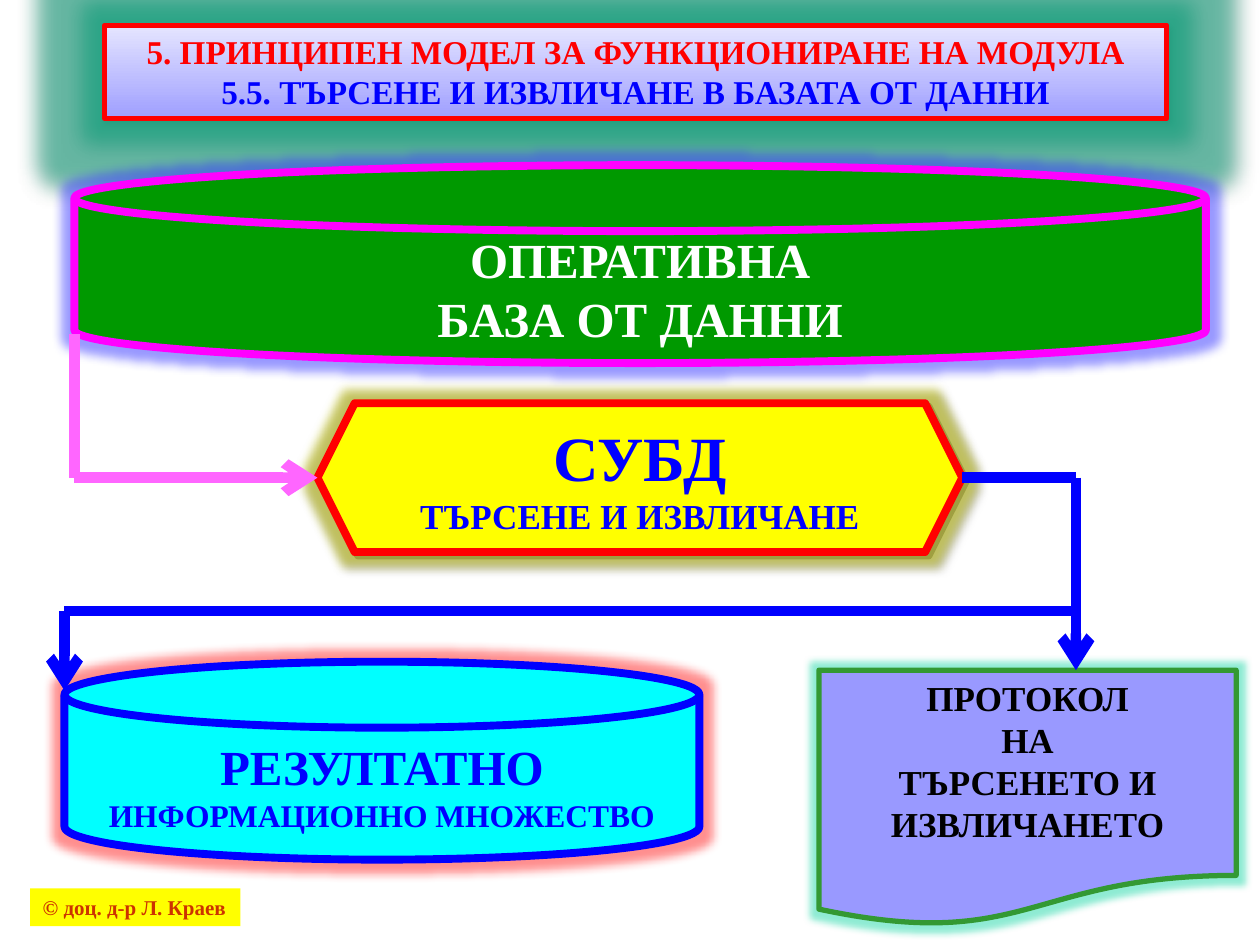
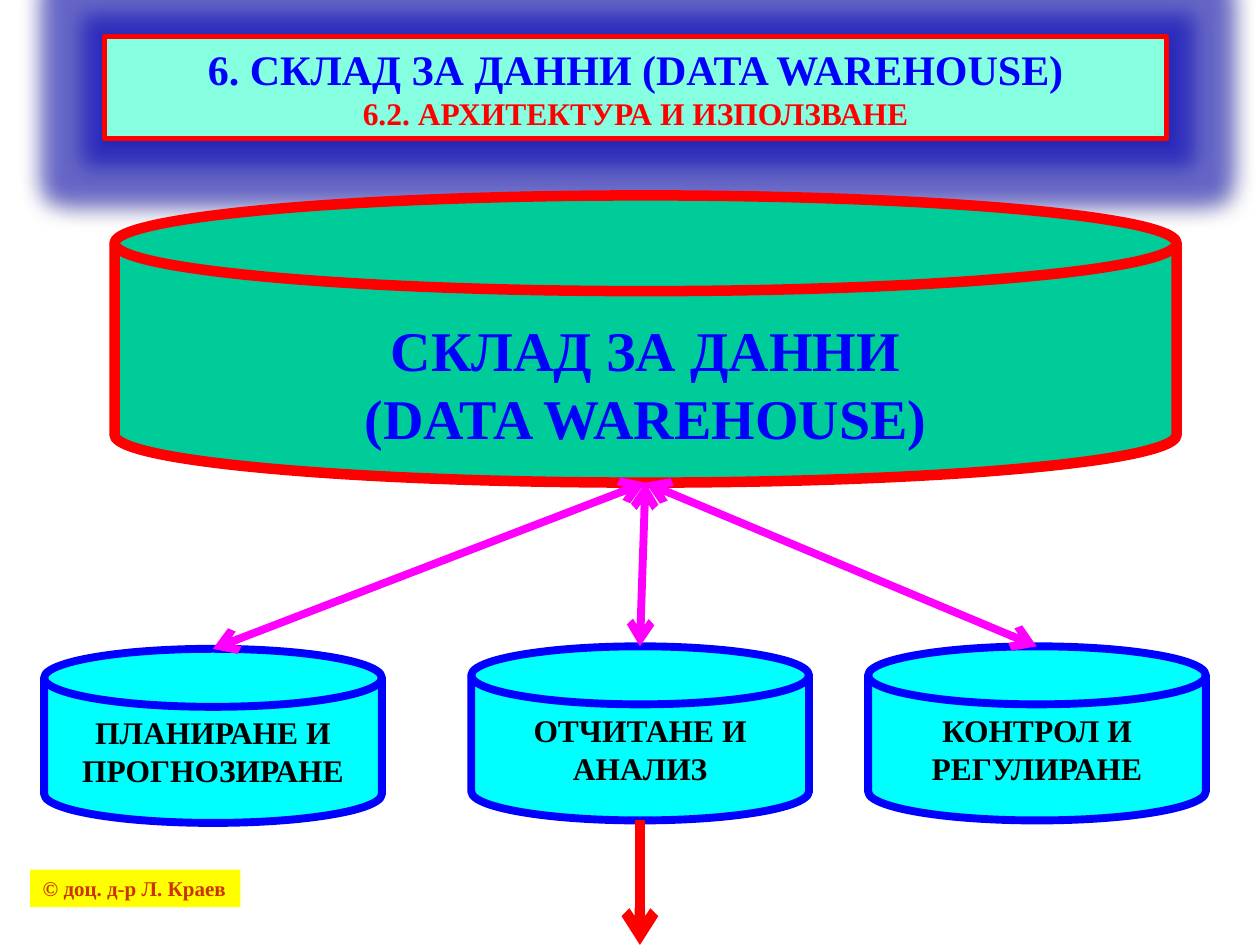
"""Build two slides on searching a database and on the data warehouse."""
from lxml import etree
from pptx import Presentation
from pptx.dml.color import RGBColor
from pptx.enum import shapes, text
from pptx.oxml import ns
from pptx.util import Cm, Pt

FONT = "Times New Roman"
RED, BLUE, MAGENTA, PINK = "FF0000", "0000FF", "FF00FF", "FF66FF"
YELLOW, CYAN, BLACK, WHITE = "FFFF00", "00FFFF", "000000", "FFFFFF"
RECT, DISK, HEXAGON, DOCUMENT = (
    shapes.MSO_SHAPE.RECTANGLE, shapes.MSO_SHAPE.FLOWCHART_MAGNETIC_DISK,
    shapes.MSO_SHAPE.HEXAGON, shapes.MSO_SHAPE.FLOWCHART_DOCUMENT)
TOP, MIDDLE = text.MSO_ANCHOR.TOP, text.MSO_ANCHOR.MIDDLE
TITLE_SHADOW = (BLACK, 38, 3.1, 1.6, 90)
rgb = RGBColor.from_string


def add_box(s, kind, at, fill, line, lines, anchor=TOP, top=0.13, glow=None, shadow=None):
    sp = s.shapes.add_shape(kind, *(Cm(v) for v in at))
    sp.shadow.inherit = False
    sp.fill.solid()
    sp.fill.fore_color.rgb = rgb(fill)
    if line:
        sp.line.color.rgb = rgb(line[0])
        sp.line.width = Pt(line[1])
    else:
        sp.line.fill.background()
    effects = sp._element.spPr.find(ns.qn("a:effectLst"))
    parts = []
    if glow:
        parts.append(("a:glow", glow[0], 50, {"rad": Pt(glow[1])}))
    if shadow:
        color, alpha, blur, dist, angle = shadow
        parts.append(("a:outerShdw", color, alpha, {
            "blurRad": Pt(blur), "dist": Pt(dist), "dir": angle * 60000, "rotWithShape": 0}))
    for tag, color, alpha, attrs in parts:
        effect = etree.SubElement(effects, ns.qn(tag), {k: str(int(v)) for k, v in attrs.items()})
        clr = etree.SubElement(effect, ns.qn("a:srgbClr"), val=color)
        etree.SubElement(clr, ns.qn("a:alpha"), val=str(alpha * 1000))
    tf = sp.text_frame
    tf.word_wrap = True
    tf.vertical_anchor = anchor
    tf.margin_top = Cm(top)
    for i, (words, size, color) in enumerate(lines):
        p = tf.add_paragraph() if i else tf.paragraphs[0]
        p.text = words
        p.alignment = text.PP_ALIGN.CENTER
        p.font.name, p.font.size, p.font.bold = FONT, Pt(size), True
        p.font.color.rgb = rgb(color)
    return sp


def add_line(s, x1, y1, x2, y2, color, width, ends=()):
    c = s.shapes.add_connector(shapes.MSO_CONNECTOR.STRAIGHT, Cm(x1), Cm(y1), Cm(x2), Cm(y2))
    c.line.color.rgb = rgb(color)
    c.line.width = Pt(width)
    for end in ends:
        etree.SubElement(c.line._get_or_add_ln(), ns.qn(end), type="arrow")
    etree.SubElement(c._element.spPr, ns.qn("a:effectLst"))


HEAD, TAIL = "a:headEnd", "a:tailEnd"
prs = Presentation()
prs.slide_width, prs.slide_height = Cm(25.4), Cm(19.05)
search, warehouse = (prs.slides.add_slide(prs.slide_layouts[6]) for _ in range(2))

title = add_box(search, RECT, (2.11, 0.51, 21.41, 1.88), "BBBBFF", (RED, 3),
                [("5. ПРИНЦИПЕН МОДЕЛ ЗА ФУНКЦИОНИРАНЕ НА МОДУЛА", 19, RED),
                 ("5.5. ТЪРСЕНЕ И ИЗВЛИЧАНЕ В БАЗАТА ОТ ДАННИ", 19, BLUE)],
                glow=("00A078", 25), shadow=TITLE_SHADOW)
title.fill.gradient()
title.fill.gradient_angle = 90
for stop, color in zip(title.fill.gradient_stops, ("9F9FFF", "E5E5FF")):
    stop.color.rgb = rgb(color)

add_box(search, DISK, (1.5, 3.33, 22.81, 3.99), "009900", (MAGENTA, 4.5),
        [("ОПЕРАТИВНА", 28, WHITE), ("БАЗА ОТ ДАННИ", 28, WHITE)],
        MIDDLE, 0.45, glow=("3333FF", 11))
add_box(search, HEXAGON, (6.4, 8.13, 13, 3), YELLOW, (RED, 4.5),
        [("СУБД", 36, BLUE), ("ТЪРСЕНЕ И ИЗВЛИЧАНЕ", 20, BLUE)],
        MIDDLE, glow=("C0C000", 11), shadow=("808080", 100, 0, 2.8, 45))
add_box(search, DISK, (1.3, 13.34, 12.8, 3.99), CYAN, (BLUE, 4.5),
        [("РЕЗУЛТАТНО", 28, BLUE), ("ИНФОРМАЦИОННО МНОЖЕСТВО", 18, BLUE)],
        MIDDLE, 0.45, glow=("FF2020", 11))
add_box(search, DOCUMENT, (16.51, 13.51, 8.41, 5.16), "9999FF", ("339933", 3),
        [("ПРОТОКОЛ", 20, BLACK), ("НА", 20, BLACK), ("ТЪРСЕНЕТО И ИЗВЛИЧАНЕТО", 20, BLACK)],
        glow=("20D8A8", 8))
for x1, y1, x2, y2, color, ends in (
        (1.5, 6.73, 1.5, 9.63, PINK, ()),
        (1.5, 9.63, 6.4, 9.63, PINK, [TAIL]),
        (19.4, 9.63, 21.69, 9.63, BLUE, ()),
        (21.69, 9.63, 21.69, 13.51, BLUE, [TAIL]),
        (21.69, 12.32, 1.3, 12.32, BLUE, ()),
        (1.3, 12.32, 1.3, 13.92, BLUE, [TAIL])):
    add_line(search, x1, y1, x2, y2, color, 6, ends)

add_box(warehouse, RECT, (2.11, 0.74, 21.41, 2.06), "85FFE0", (RED, 3),
        [("6. СКЛАД ЗА ДАННИ (DATA WAREHOUSE)", 24, BLUE),
         ("6.2. АРХИТЕКТУРА И ИЗПОЛЗВАНЕ", 18, RED)],
        glow=("0000C0", 25), shadow=TITLE_SHADOW)
add_box(warehouse, DISK, (2.31, 3.94, 21.41, 5.79), "00CC99", (RED, 6),
        [("СКЛАД ЗА ДАННИ", 32, BLUE), ("(DATA WAREHOUSE)", 32, BLUE)], top=0.5)
for x, y, words in ((0.89, 13.08, ("ПЛАНИРАНЕ И", "ПРОГНОЗИРАНЕ")),
                    (9.5, 13.03, ("ОТЧИТАНЕ И", "АНАЛИЗ")),
                    (17.5, 13.03, ("КОНТРОЛ И РЕГУЛИРАНЕ",))):
    add_box(warehouse, DISK, (x, y, 6.81, 3.51), CYAN, (BLUE, 4.5),
            [(word, 18, BLACK) for word in words])
    add_line(warehouse, 13.01, 9.73, x + 3.4, y, MAGENTA, 4.5, [HEAD, TAIL])
add_line(warehouse, 12.9, 16.54, 12.9, 19.05, RED, 6, [TAIL])

for s, y in ((search, 17.91), (warehouse, 17.53)):
    sp = add_box(s, RECT, (0.61, y, 4.24, 0.76), YELLOW, None,
                 [("© доц. д-р Л. Краев", 12, "CC3300")])
    sp.text_frame.word_wrap = False
    sp.text_frame.paragraphs[0].alignment = text.PP_ALIGN.LEFT

prs.save("out.pptx")
